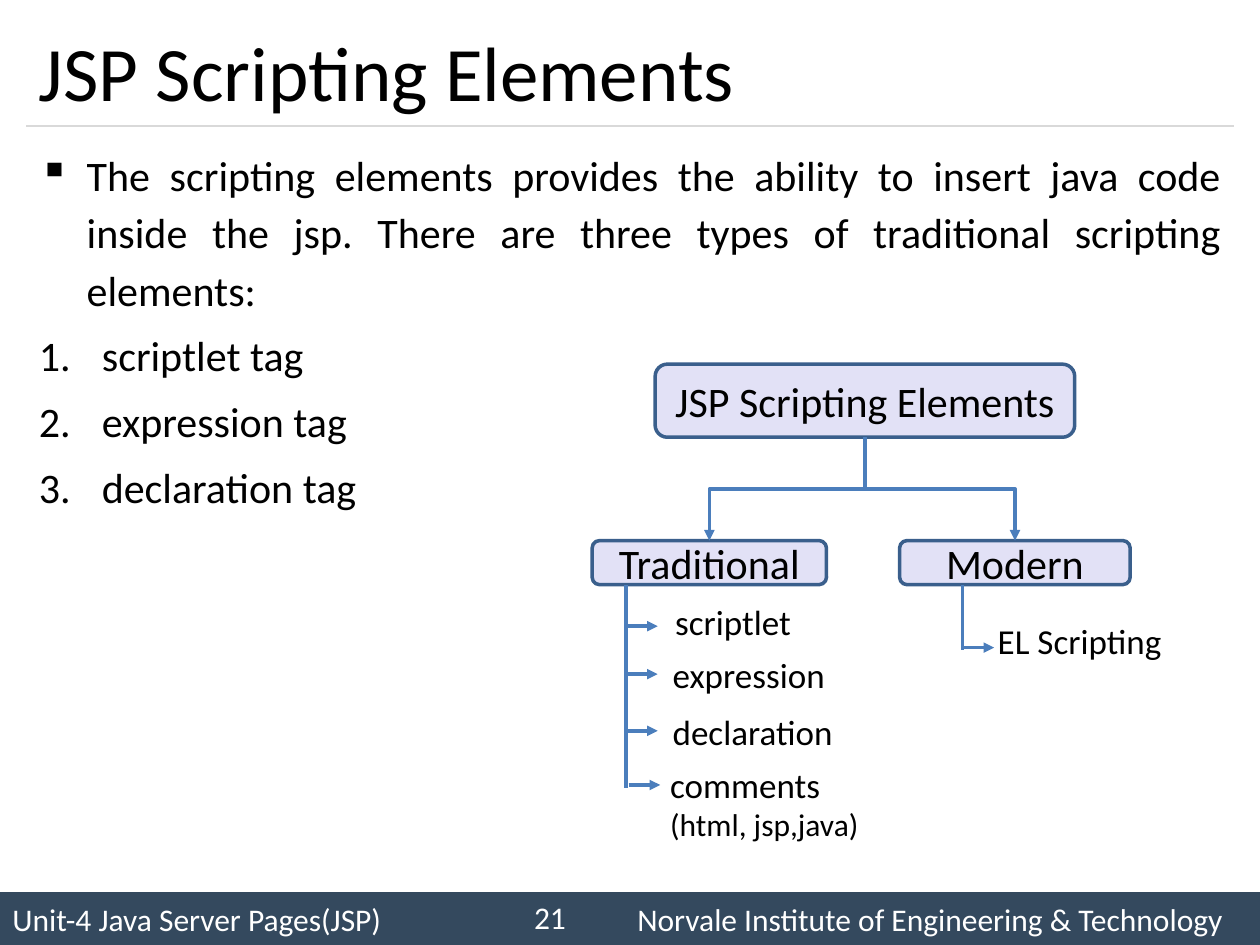
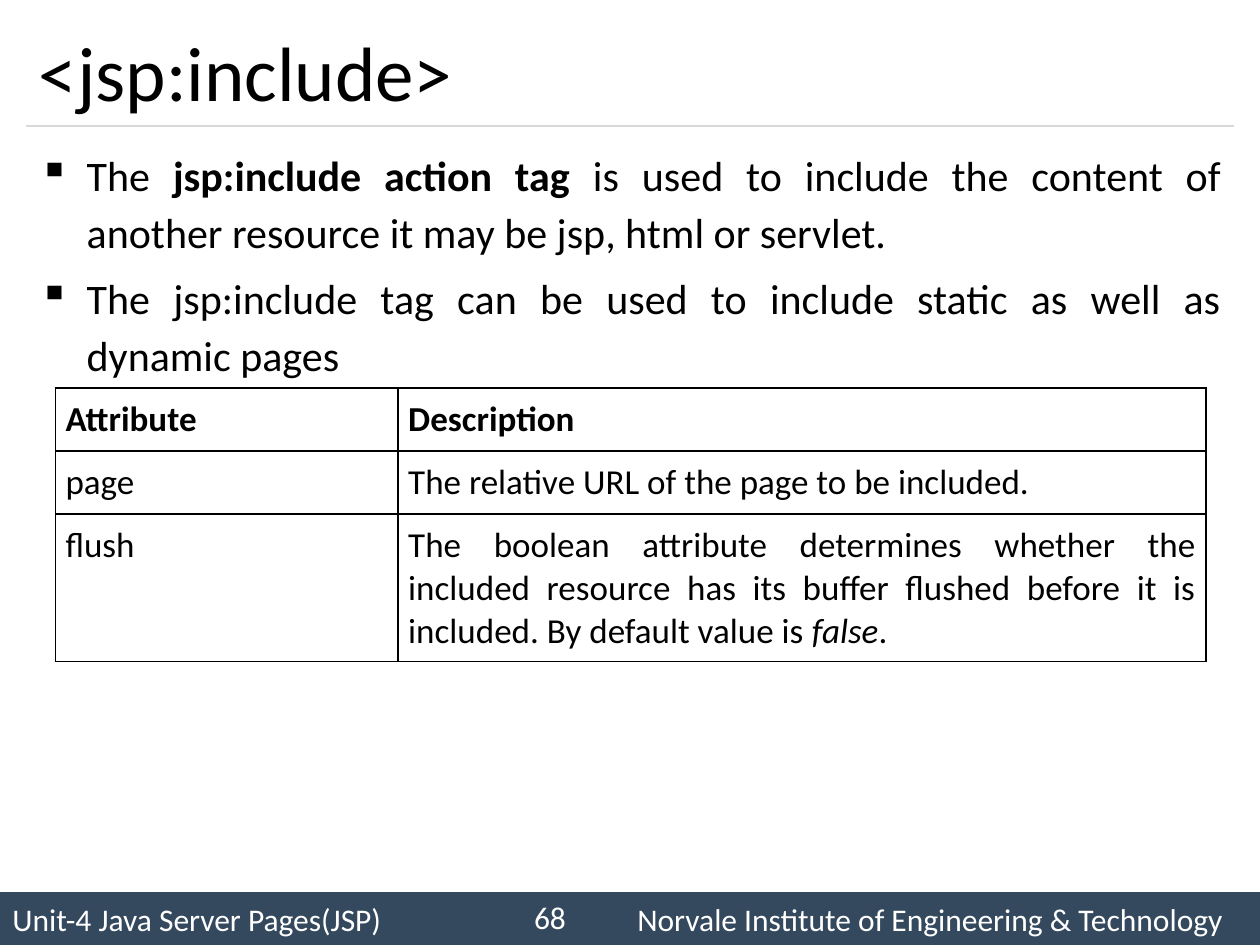
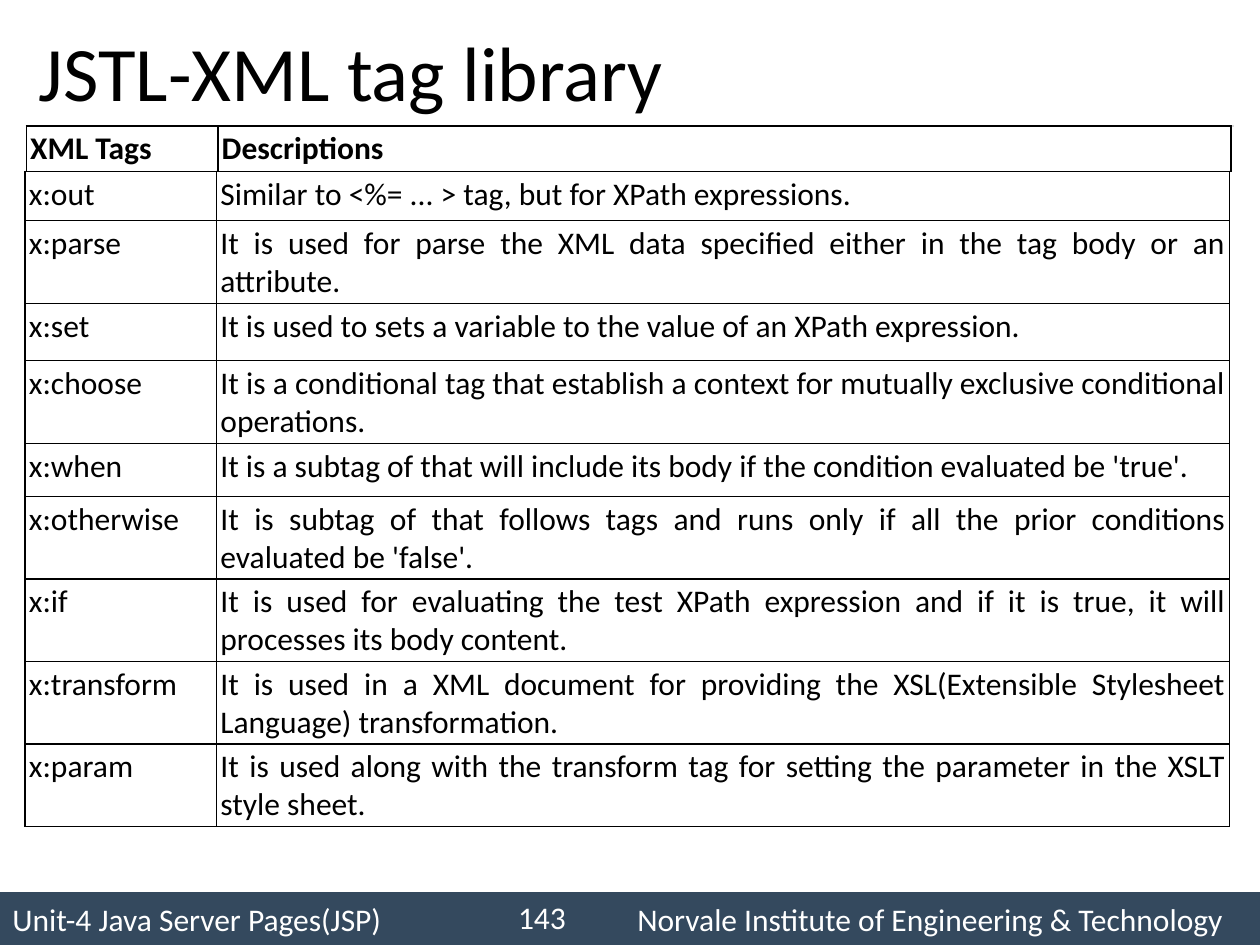
from dataclasses import dataclass

from lxml import etree
from pptx import Presentation
from pptx import util as u
from pptx.dml.color import RGBColor
from pptx.enum import shapes, text
from pptx.oxml import ns

ALIGN = text.PP_ALIGN


@dataclass(frozen=True)
class Theme:
    font: str = "Calibri"
    ink: str = "000000"
    light: str = "FFFFFF"
    band: str = "34495E"
    rule: str = "D9D9D9"
    node: str = "130BB5"
    node_alpha: int = 12
    node_line: str = "3A5F8C"
    arrow: str = "4B7EBC"
    title_size: int = 44
    body_size: int = 24
    label_size: int = 20
    small_size: int = 18


THEME = Theme()
UNIT = "Unit-4 Java Server Pages(JSP)"
INSTITUTE = "Norvale Institute of Engineering & Technology"


def add_xml(parent, tag, **attributes):
    return etree.SubElement(parent, ns.qn(tag), attributes)


def color(value):
    return RGBColor.from_string(value)


def inches(*values):
    return [u.Inches(value) for value in values]


class Deck:
    def __init__(self, theme):
        self.theme = theme
        self.presentation = Presentation()
        self.presentation.slide_width = u.Inches(10)
        self.presentation.slide_height = u.Inches(7.5)
        self.slide = None

    def new_slide(self, title, number):
        """Start a slide with its title, rule, footer band and number."""
        theme = self.theme
        self.slide = self.presentation.slides.add_slide(self.presentation.slide_layouts[6])
        self.footer()
        self.line((0.21, 1), (9.79, 1), theme.rule, 0.75)
        self.textbox((0.21, 0.12, 9.58, 0.88), [title], theme.title_size, middle=True)
        self.textbox((3.92, 7.08, 0.67, 0.4), [number], theme.small_size,
                     theme.light, ALIGN.RIGHT, middle=True)

    def footer(self):
        theme = self.theme
        band = self.shape(shapes.MSO_SHAPE.RECTANGLE, (0, 7.08, 10, 0.42), theme.band)
        band.line.fill.background()
        self.add_text(band.text_frame, [f"{UNIT}\t{INSTITUTE}"], theme.small_size, theme.light)
        properties = band.text_frame.paragraphs[0]._p.get_or_add_pPr()
        tabs = add_xml(properties, "a:tabLst")
        add_xml(tabs, "a:tab", pos=str(u.Inches(4.96)), algn="l")

    def add_text(self, frame, paragraphs, size, ink=None, align=ALIGN.LEFT):
        """Fill a frame; a paragraph is a string or a list of (words, style) runs."""
        for index, content in enumerate(paragraphs):
            paragraph = frame.paragraphs[0] if index == 0 else frame.add_paragraph()
            paragraph.alignment = align
            runs = [(content, "")] if isinstance(content, str) else content
            for words, style in runs:
                run = paragraph.add_run()
                run.text = words
                run.font.name = self.theme.font
                run.font.size = u.Pt(self.theme.small_size if style == "small" else size)
                run.font.bold = style == "bold"
                run.font.italic = style == "italic"
                run.font.color.rgb = color(ink or self.theme.ink)

    def textbox(self, box, paragraphs, size, ink=None, align=ALIGN.LEFT,
                middle=False, wrap=True):
        frame = self.slide.shapes.add_textbox(*inches(*box)).text_frame
        frame.word_wrap = wrap
        if not wrap:
            frame.auto_size = text.MSO_AUTO_SIZE.SHAPE_TO_FIT_TEXT
        if middle:
            frame.vertical_anchor = text.MSO_ANCHOR.MIDDLE
        self.add_text(frame, paragraphs, size, ink, align)
        return frame

    def body(self, bullets, numbered=()):
        size = self.theme.body_size
        frame = self.textbox((0.21, 1.08, 9.58, 5.83), [*bullets, *numbered],
                             size, align=ALIGN.JUSTIFY)
        for index, paragraph in enumerate(frame.paragraphs):
            is_bullet = index < len(bullets)
            paragraph.line_spacing = 1.14
            paragraph.space_before = u.Pt(size * 0.2)
            indent = u.Inches(0.38 if is_bullet else 0.5)
            properties = paragraph._p.get_or_add_pPr()
            properties.set("marL", str(indent))
            properties.set("indent", str(-indent))
            if is_bullet:
                add_xml(properties, "a:buChar", char="▪")
            else:
                add_xml(properties, "a:buAutoNum", type="arabicPeriod")

    def shape(self, kind, box, fill):
        shape = self.slide.shapes.add_shape(kind, *inches(*box))
        shape.shadow.inherit = False
        shape.fill.solid()
        shape.fill.fore_color.rgb = color(fill)
        shape.text_frame.vertical_anchor = text.MSO_ANCHOR.MIDDLE
        return shape

    def node(self, label, box):
        theme = self.theme
        node = self.shape(shapes.MSO_SHAPE.ROUNDED_RECTANGLE, box, theme.node)
        tint = next(node._element.spPr.iter(ns.qn("a:srgbClr")))
        add_xml(tint, "a:alpha", val=str(theme.node_alpha * 1000))
        node.line.color.rgb = color(theme.node_line)
        node.line.width = u.Pt(2)
        self.add_text(node.text_frame, [label], theme.body_size, align=ALIGN.CENTER)
        return node

    def line(self, start, end, ink=None, width=2, arrow=False,
             kind=shapes.MSO_CONNECTOR.STRAIGHT):
        line = self.slide.shapes.add_connector(kind, *inches(*start, *end))
        line.line.color.rgb = color(ink or self.theme.arrow)
        line.line.width = u.Pt(width)
        properties = line._element.spPr
        if arrow:
            add_xml(properties.find(ns.qn("a:ln")), "a:tailEnd", type="triangle")
        add_xml(properties, "a:effectLst")
        return line

    def elbow(self, parent, child):
        """Join parent bottom to child top, leaving and arriving vertically."""
        elbow = self.line((0, 0), (1, 1), arrow=True, kind=shapes.MSO_CONNECTOR.ELBOW)
        elbow.begin_connect(parent, 2)
        elbow.end_connect(child, 0)
        start_x, end_x = elbow.begin_x, elbow.end_x
        start_y, end_y = elbow.begin_y, elbow.end_y
        # The preset runs sideways, so its box is turned by a quarter about its centre.
        elbow.width, elbow.height = end_y - start_y, abs(end_x - start_x)
        elbow.left = (start_x + end_x - elbow.width) // 2
        elbow.top = (start_y + end_y - elbow.height) // 2
        rightward = end_x > start_x
        frame = elbow._element.spPr.find(ns.qn("a:xfrm"))
        frame.set("rot", str((270 if rightward else 90) * 60000))
        frame.set("flipH", "1" if rightward else "0")

    def table(self, left, top, widths, heights, rows, size, inset, header=False):
        graphic = self.slide.shapes.add_table(
            len(rows), len(widths), *inches(left, top, sum(widths), sum(heights)))
        table = graphic.table
        table.first_row = table.horz_banding = False
        for column, width in zip(table.columns, widths):
            column.width = u.Inches(width)
        for row_index, (height, row) in enumerate(zip(heights, rows)):
            table.rows[row_index].height = u.Inches(height)
            is_header = header and row_index == 0
            for column_index, content in enumerate(row):
                cell = table.cell(row_index, column_index)
                cell.margin_left = cell.margin_right = u.Inches(inset)
                cell.margin_top = cell.margin_bottom = u.Inches(inset)
                self.borders(cell)
                cell.fill.background()
                if is_header:
                    content = [(content, "bold")]
                self.add_text(cell.text_frame, [content], size,
                              align=ALIGN.LEFT if is_header else ALIGN.JUSTIFY)

    def borders(self, cell):
        properties = cell._tc.get_or_add_tcPr()
        for side in "LRTB":
            border = add_xml(properties, f"a:ln{side}", w=str(u.Pt(1)))
            fill = add_xml(border, "a:solidFill")
            add_xml(fill, "a:srgbClr", val=self.theme.ink)


def scripting_elements(deck):
    deck.new_slide("JSP Scripting Elements", "21")
    deck.body(
        ["The scripting elements provides the ability to insert java code inside the jsp. "
         "There are three types of traditional scripting elements:"],
        ["scriptlet tag", "expression tag", "declaration tag"])

    root = deck.node("JSP Scripting Elements", (5.2, 2.89, 3.33, 0.58))
    traditional = deck.node("Traditional", (4.7, 4.29, 1.86, 0.35))
    modern = deck.node("Modern", (7.14, 4.29, 1.83, 0.35))

    for trunk_x, trunk_end in ((4.97, 6.25), (7.64, 5.16)):
        deck.line((trunk_x, 4.64), (trunk_x, trunk_end))
    leaves = [
        (["scriptlet"], (4.97, 4.97), (5.26, 4.72, 1.13, 0.44)),
        (["expression"], (4.97, 5.35), (5.24, 5.14, 1.42, 0.44)),
        (["declaration"], (4.97, 5.8), (5.24, 5.59, 1.49, 0.44)),
        (["comments", [("(html, jsp,java)", "small")]],
         (4.99, 6.23), (5.22, 6.01, 1.71, 0.74)),
        (["EL Scripting"], (7.64, 5.14), (7.82, 4.87, 1.52, 0.44)),
    ]
    for label, (x, y), box in leaves:
        deck.line((x, y), (x + 0.25, y), arrow=True)
        deck.textbox(box, label, deck.theme.label_size, wrap=False)
    for child in (traditional, modern):
        deck.elbow(root, child)


def include_action(deck):
    deck.new_slide("<jsp:include>", "68")
    deck.body([
        [("The ", ""), ("jsp:include action tag", "bold"),
         (" is used to include the content of another resource "
          "it may be jsp, html or servlet.", "")],
        "The jsp:include tag can be used to include static as well as dynamic pages",
    ])
    rows = [
        ("Attribute", "Description"),
        ("page", "The relative URL of the page to be included."),
        ("flush", [("The boolean attribute determines whether the included resource has its "
                    "buffer flushed before it is included. By default value is ", ""),
                   ("false", "italic"), (".", "")]),
    ]
    deck.table(0.44, 3.08, (2.72, 6.41), (0.5, 0.5, 1.17), rows,
               deck.theme.label_size, 0.08, header=True)


def xml_tag_library(deck):
    deck.new_slide("JSTL-XML tag library", "143")
    widths, size, inset = (1.52, 8.04), deck.theme.small_size, 0.03
    deck.table(0.21, 1, widths, [0.36], [("XML Tags", "Descriptions")],
               size, inset, header=True)
    tags = [
        (0.39, "x:out", "Similar to <%= ... > tag, but for XPath expressions."),
        (0.66, "x:parse", "It is used for parse the XML data specified either in the tag "
                          "body or an attribute."),
        (0.45, "x:set", "It is used to sets a variable to the value of an XPath expression."),
        (0.66, "x:choose", "It is a conditional tag that establish a context for mutually "
                           "exclusive conditional operations."),
        (0.42, "x:when", "It is a subtag of that will include its body if the condition "
                         "evaluated be 'true'."),
        (0.65, "x:otherwise", "It is subtag of that follows tags and runs only if all the "
                              "prior conditions evaluated be 'false'."),
        (0.66, "x:if", "It is used for evaluating the test XPath expression and if it is "
                       "true, it will processes its body content."),
        (0.65, "x:transform", "It is used in a XML document for providing the "
                              "XSL(Extensible Stylesheet Language) transformation."),
        (0.66, "x:param", "It is used along with the transform tag for setting the "
                          "parameter in the XSLT style sheet."),
    ]
    top = 1.36
    for height, tag, description in tags:
        deck.table(0.2, top, widths, [height], [(tag, description)], size, inset)
        top += height


def main():
    deck = Deck(THEME)
    scripting_elements(deck)
    include_action(deck)
    xml_tag_library(deck)
    deck.presentation.save("out.pptx")


if __name__ == "__main__":
    main()
